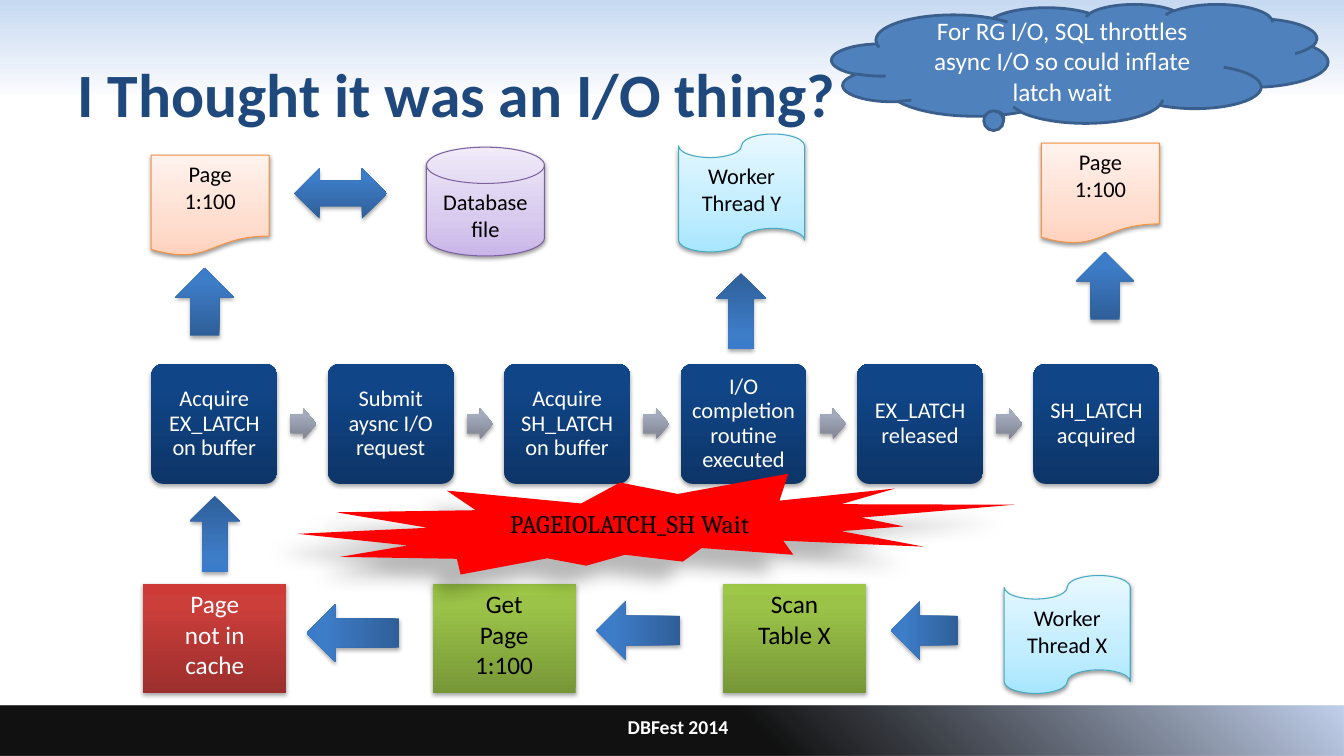
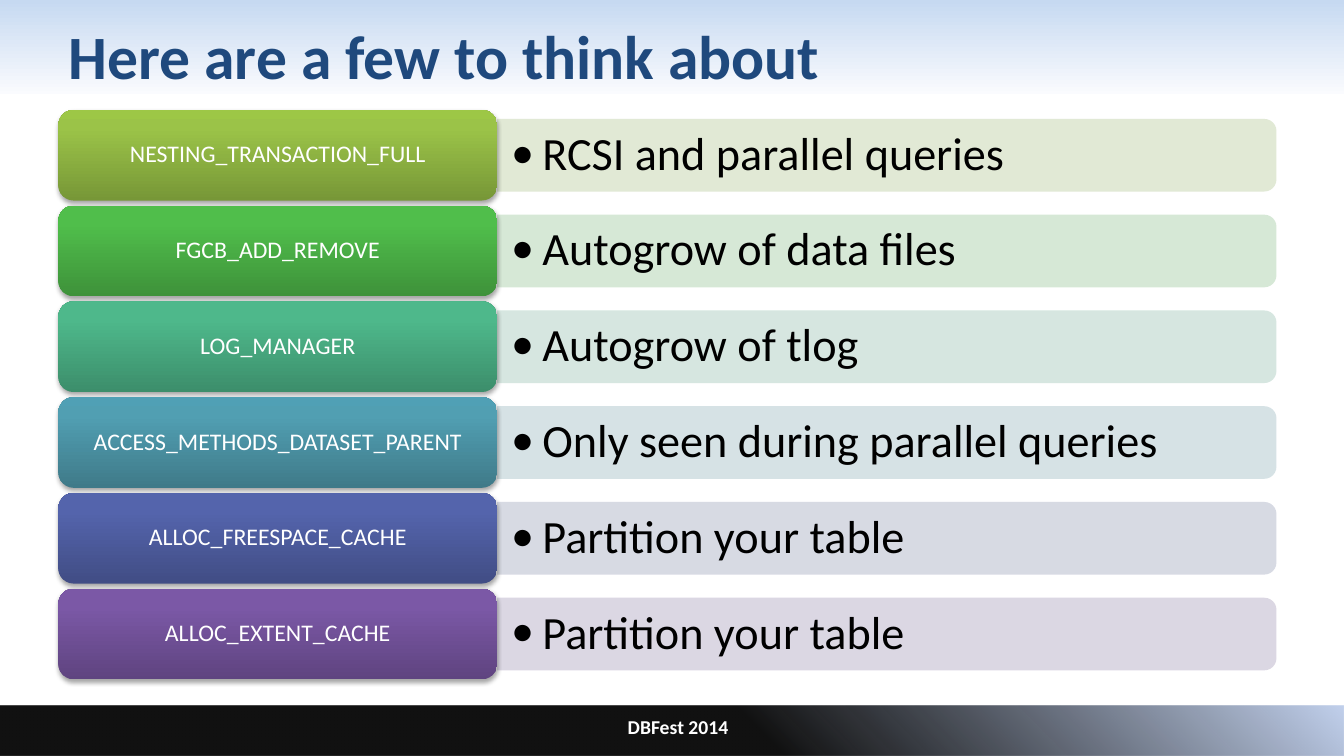
from pptx import Presentation
from pptx import util as u
from pptx.dml.color import RGBColor
from pptx.enum import shapes, text
from pptx.oxml import parse_xml
from pptx.oxml.ns import nsdecls, qn

KIND = shapes.MSO_SHAPE
WIDTH, HEIGHT = 13.33, 7.5
FOOTER_TOP = 7
COLORS = {
    "title": "1F497D", "white": "FFFFFF", "black": "000000",
    "alert": "FF0000", "cloud": "4F81BD", "cloud edge": "3A5F8C",
    "document edge": "F69240", "disk edge": "7D60A0", "worker edge": "46AAC5",
}
# Gradient stops: position %, colour, opacity %
TOP_BAND = [(0, "C6D9F1", 100), (100, "FAFBFE", 100)]
FOOTER_BAND = [(56, "000000", 93), (100, "C2D1ED", 100), (100, "E1E8F5", 16)]


def glossy(dark, middle, light, knee=80):
    return [(0, dark, 100), (knee, middle, 100), (100, light, 100)]


# Shadow: opacity %, blur, distance, direction
DEEP = (35, 3.1, 1.8, 90)
SOFT = (38, 3.1, 1.6, 90)
LOOKS = {
    "step": dict(stops=glossy("0D3568", "104587", "0E458A"), shadow=DEEP),
    "next": dict(stops=glossy("7E8391", "A4ABBC", "A4ABBE"), shadow=DEEP),
    "arrow": dict(stops=glossy("2F5F99", "3D7CC7", "3A7CCB"), shadow=DEEP),
    "task": dict(stops=glossy("779737", "9BC348", "9DC746"), shadow=DEEP),
    "miss": dict(stops=glossy("9C2F2D", "CB3E3A", "CE3B37"), shadow=DEEP),
    "document": dict(stops=glossy("FFD2BD", "FFDED0", "FFF2ED", 35),
                     edge=COLORS["document edge"], shadow=SOFT),
    "disk": dict(stops=glossy("C9B5E8", "D8CBEE", "F0EAF9", 35),
                 edge=COLORS["disk edge"], shadow=SOFT),
    "worker": dict(stops=glossy("A7E6FF", "C1EDFF", "E7F8FF", 35),
                   edge=COLORS["worker edge"], shadow=SOFT),
    "alert": dict(stops=[(0, COLORS["alert"], 100)], shadow=(28, 11.8, 19.7, 141)),
    "cloud": dict(stops=[(0, COLORS["cloud"], 100)],
                  edge=COLORS["cloud edge"], edge_width=2),
}

STEPS = ["Acquire EX_LATCH on buffer", "Submit aysnc I/O request",
         "Acquire SH_LATCH on buffer", "I/O completion routine executed",
         "EX_LATCH released", "SH_LATCH acquired"]
STEP_LEFT, STEP_TOP, STEP_PITCH = 1.5, 3.61, 1.75
STEP_SIZE = (1.25, 1.19)

# Kind, look, box, wording, size, ink
NODES = [
    (KIND.FLOWCHART_DOCUMENT, "document", (1.5, 1.54, 1.17, 1), "Page 1:100", 16, "black"),
    (KIND.FLOWCHART_DOCUMENT, "document", (10.33, 1.42, 1.17, 1), "Page 1:100", 16, "black"),
    (KIND.FLOWCHART_MAGNETIC_DISK, "disk", (4.23, 1.46, 1.17, 1.08), "Database file", 16, "black"),
    (KIND.FLOWCHART_PUNCHED_TAPE, "worker", (6.73, 1.33, 1.25, 1.17), "Worker Thread Y", 16, "black"),
    (KIND.FLOWCHART_PUNCHED_TAPE, "worker", (9.96, 5.71, 1.25, 1.17), "Worker Thread X", 16, "black"),
    (KIND.FLOWCHART_PREDEFINED_PROCESS, "task", (7.17, 5.79, 1.42, 1.08), "Scan Table X", 18, "black"),
    (KIND.FLOWCHART_PREDEFINED_PROCESS, "task", (4.29, 5.79, 1.42, 1.08), "Get Page 1:100", 18, "black"),
    (KIND.FLOWCHART_PREDEFINED_PROCESS, "miss", (1.42, 5.79, 1.42, 1.08), "Page not in cache", 18, "white"),
]

# Kind, box, rotation
ARROWS = [
    (KIND.LEFT_RIGHT_ARROW, (2.92, 1.67, 0.92, 0.5), 0),
    (KIND.UP_ARROW, (1.74, 2.66, 0.58, 0.67), 0),
    (KIND.UP_ARROW, (10.67, 2.5, 0.58, 0.67), 0),
    (KIND.DOWN_ARROW, (7.1, 2.71, 0.5, 0.75), 180),
    (KIND.DOWN_ARROW, (1.88, 4.92, 0.5, 0.75), 180),
    (KIND.UP_ARROW, (3.21, 5.82, 0.58, 0.92), 270),
    (KIND.UP_ARROW, (6.04, 5.84, 0.58, 0.83), 270),
    (KIND.UP_ARROW, (8.88, 5.92, 0.58, 0.67), 270),
]

# Latch, advice, bar colour, gradient of the label
LATCHES = [
    ("NESTING_TRANSACTION_FULL", "RCSI and parallel queries", "DEE7D1",
     ("779737", "9BC348", "9DC746")),
    ("FGCB_ADD_REMOVE", "Autogrow of data files", "D2E6D2",
     ("3E923A", "50BE4B", "4FC149")),
    ("LOG_MANAGER", "Autogrow of tlog", "D2E4DD",
     ("3C8E6B", "4EB88B", "4CBB8C")),
    ("ACCESS_METHODS_DATASET_PARENT", "Only seen during parallel queries", "D2DFE3",
     ("3F7A89", "519FB2", "50A0B5")),
    ("ALLOC_FREESPACE_CACHE", "Partition your table", "D3D6E1",
     ("414D85", "5464AC", "5363AF")),
    ("ALLOC_EXTENT_CACHE", "Partition your table", "D8D3E0",
     ("5F4480", "7B58A6", "7C57A8")),
]
ROW_LEFT, ROW_TOP, ROW_PITCH, ROW_HEIGHT = 0.58, 1.09, 0.95, 0.9
LABEL_WIDTH, BAR_WIDTH, BAR_HEIGHT = 4.35, 7.73, 0.72


def inches(box):
    return [u.Inches(length) for length in box]


def color_xml(color, opacity):
    return (f'<a:srgbClr val="{color}"><a:alpha val="{opacity * 1000}"/>'
            '</a:srgbClr>')


def paint(shape, stops, angle=270):
    """Fill with one colour or, for several stops, a linear gradient."""
    if len(stops) == 1:
        fill = f'<a:solidFill {nsdecls("a")}>{color_xml(*stops[0][1:])}</a:solidFill>'
    else:
        marks = "".join(f'<a:gs pos="{pos * 1000}">{color_xml(color, opacity)}</a:gs>'
                        for pos, color, opacity in stops)
        fill = (f'<a:gradFill {nsdecls("a")} rotWithShape="1"><a:gsLst>{marks}</a:gsLst>'
                f'<a:lin ang="{angle * 60000}" scaled="0"/></a:gradFill>')
    shape.element.spPr.find(qn("a:prstGeom")).addnext(parse_xml(fill))


def cast_shadow(shape, opacity, blur, distance, direction):
    effects = shape.element.spPr.find(qn("a:effectLst"))
    effects.append(parse_xml(
        f'<a:outerShdw {nsdecls("a")} blurRad="{u.Pt(blur)}" dist="{u.Pt(distance)}" '
        f'dir="{direction * 60000}" rotWithShape="0">'
        f'{color_xml(COLORS["black"], opacity)}</a:outerShdw>'))


def add_block(slide, kind, box, stops, angle=270, edge=None, edge_width=0.75,
              shadow=None, rotation=0, adjust=()):
    block = slide.shapes.add_shape(kind, *inches(box))
    block.rotation = rotation
    for index, value in enumerate(adjust):
        block.adjustments[index] = value
    paint(block, stops, angle)
    if edge:
        block.line.color.rgb = RGBColor.from_string(edge)
        block.line.width = u.Pt(edge_width)
    else:
        block.line.fill.background()
    block.shadow.inherit = False
    if shadow:
        cast_shadow(block, *shadow)
    return block


def write(shape, wording, size, ink, bold=False, font="Calibri",
          align="CENTER", anchor="MIDDLE", spacing=1.0, insets=(0.1, 0.05)):
    frame = shape.text_frame
    side, end = inches(insets)
    layout = dict(word_wrap=True, vertical_anchor=getattr(text.MSO_ANCHOR, anchor),
                  margin_left=side, margin_right=side, margin_top=end, margin_bottom=end)
    for name, value in layout.items():
        setattr(frame, name, value)
    paragraph = frame.paragraphs[0]
    paragraph.alignment = getattr(text.PP_ALIGN, align)
    paragraph.line_spacing = spacing
    run = paragraph.add_run()
    run.text = wording
    for name, value in dict(name=font, size=u.Pt(size), bold=bold).items():
        setattr(run.font, name, value)
    run.font.color.rgb = RGBColor.from_string(COLORS[ink])
    return paragraph


def add_bullet(paragraph, indent):
    properties = paragraph._p.get_or_add_pPr()
    properties.set("marL", str(u.Inches(indent)))
    properties.set("indent", str(-u.Inches(indent)))
    properties.append(parse_xml(f'<a:buFont {nsdecls("a")} typeface="Calibri"/>'))
    properties.append(parse_xml(f'<a:buChar {nsdecls("a")} char="•"/>'))


def add_bands(slide):
    """Draw the two bands and hand them to the layout that all slides use."""
    bands = [((0, 0, WIDTH, HEIGHT / 8), TOP_BAND, 90),
             ((0, FOOTER_TOP, WIDTH, HEIGHT - FOOTER_TOP), FOOTER_BAND, 315)]
    for position, (box, stops, angle) in enumerate(bands):
        band = add_block(slide, KIND.RECTANGLE, box, stops, angle)
        slide.slide_layout.shapes.element.insert(2 + position, band.element)


def add_slide(deck, heading, left, top):
    slide = deck.slides.add_slide(deck.slide_layouts[5])
    title = slide.shapes.title
    title.left, title.top, title.width, title.height = inches((left, top, 12, 1.25))
    write(title, heading, 44, "title", bold=True, align="LEFT")
    footer = slide.shapes.add_textbox(*inches((3.78, FOOTER_TOP, 5.89, 0.42)))
    write(footer, "DBFest 2014", 14, "white", bold=True)
    return slide


def add_steps(slide):
    width, height = STEP_SIZE
    for column, wording in enumerate(STEPS):
        left = STEP_LEFT + column * STEP_PITCH
        step = add_block(slide, KIND.ROUNDED_RECTANGLE, (left, STEP_TOP, width, height),
                         adjust=(0.1,), **LOOKS["step"])
        write(step, wording, 16, "white", spacing=0.9, insets=(0.05, 0.05))
        if column < len(STEPS) - 1:
            add_block(slide, KIND.RIGHT_ARROW, (left + 1.38, STEP_TOP + 0.44, 0.26, 0.31),
                      adjust=(0.6, 0.5), **LOOKS["next"])


def add_latch_row(slide, row, latch, advice, bar_color, gradient):
    top = ROW_TOP + row * ROW_PITCH
    bar_left, middle = ROW_LEFT + LABEL_WIDTH, top + ROW_HEIGHT / 2
    upright = (bar_left + (BAR_WIDTH - BAR_HEIGHT) / 2, middle - BAR_WIDTH / 2,
               BAR_HEIGHT, BAR_WIDTH)
    add_block(slide, KIND.ROUND_2_SAME_RECTANGLE, upright, [(0, bar_color, 90)],
              rotation=90)
    note = slide.shapes.add_textbox(
        *inches((bar_left, middle - BAR_HEIGHT / 2, BAR_WIDTH, BAR_HEIGHT)))
    add_bullet(write(note, advice, 33, "black", align="LEFT", spacing=0.9,
                     insets=(0.14, 0.07)), 0.31)
    label = add_block(slide, KIND.ROUNDED_RECTANGLE,
                      (ROW_LEFT, top, LABEL_WIDTH, ROW_HEIGHT),
                      glossy(*gradient), shadow=DEEP)
    write(label, latch, 17, "white", spacing=0.9)


def main():
    deck = Presentation()
    deck.slide_width, deck.slide_height = inches((WIDTH, HEIGHT))

    flow = add_slide(deck, "I Thought it was an I/O thing?", 0.67, 0.3)
    add_bands(flow)
    add_steps(flow)
    for kind, look, box, wording, size, ink in NODES:
        node = add_block(flow, kind, box, **LOOKS[look])
        write(node, wording, size, ink, anchor="TOP")
    for kind, box, rotation in ARROWS:
        add_block(flow, kind, box, rotation=rotation, **LOOKS["arrow"])
    wait = add_block(flow, KIND.EXPLOSION2, (2.95, 4.7, 7.11, 1), **LOOKS["alert"])
    write(wait, "PAGEIOLATCH_SH Wait", 18, "black", font="Cambria", anchor="TOP")
    remark = add_block(flow, KIND.CLOUD_CALLOUT, (8.25, 0.04, 4.92, 1.18),
                       adjust=(-0.17, 0.47), **LOOKS["cloud"])
    write(remark, "For RG I/O, SQL throttles async I/O so could inflate latch wait",
          18, "white")

    advice = add_slide(deck, "Here are a few to think about", 0.58, -0.08)
    for row, latch in enumerate(LATCHES):
        add_latch_row(advice, row, *latch)
    deck.save("out.pptx")


if __name__ == "__main__":
    main()
